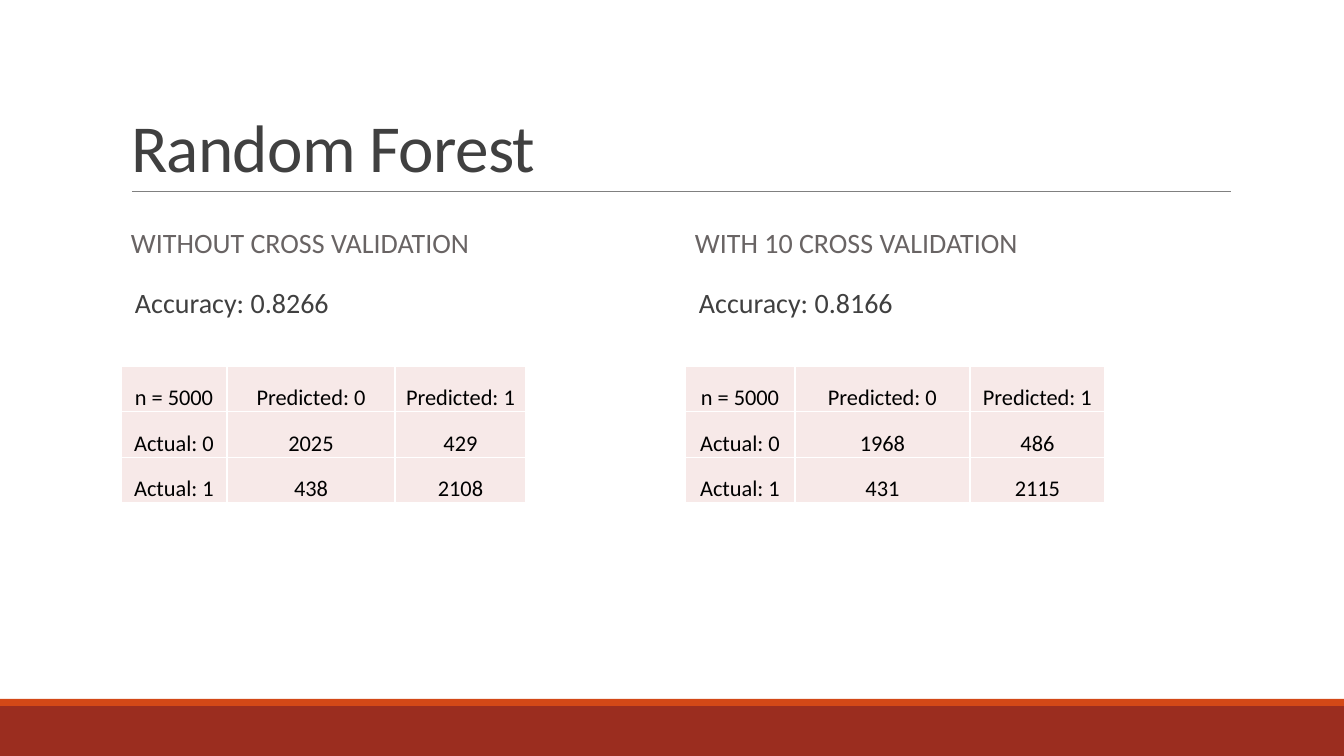
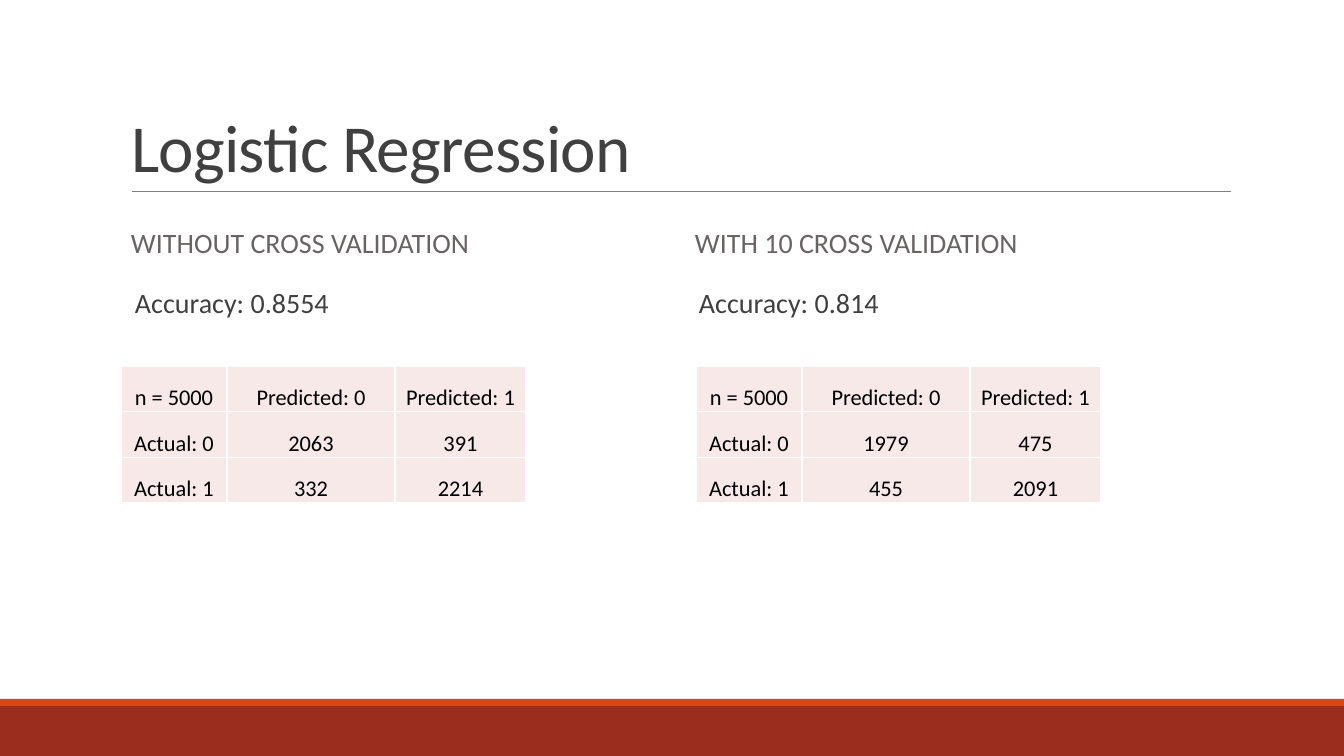
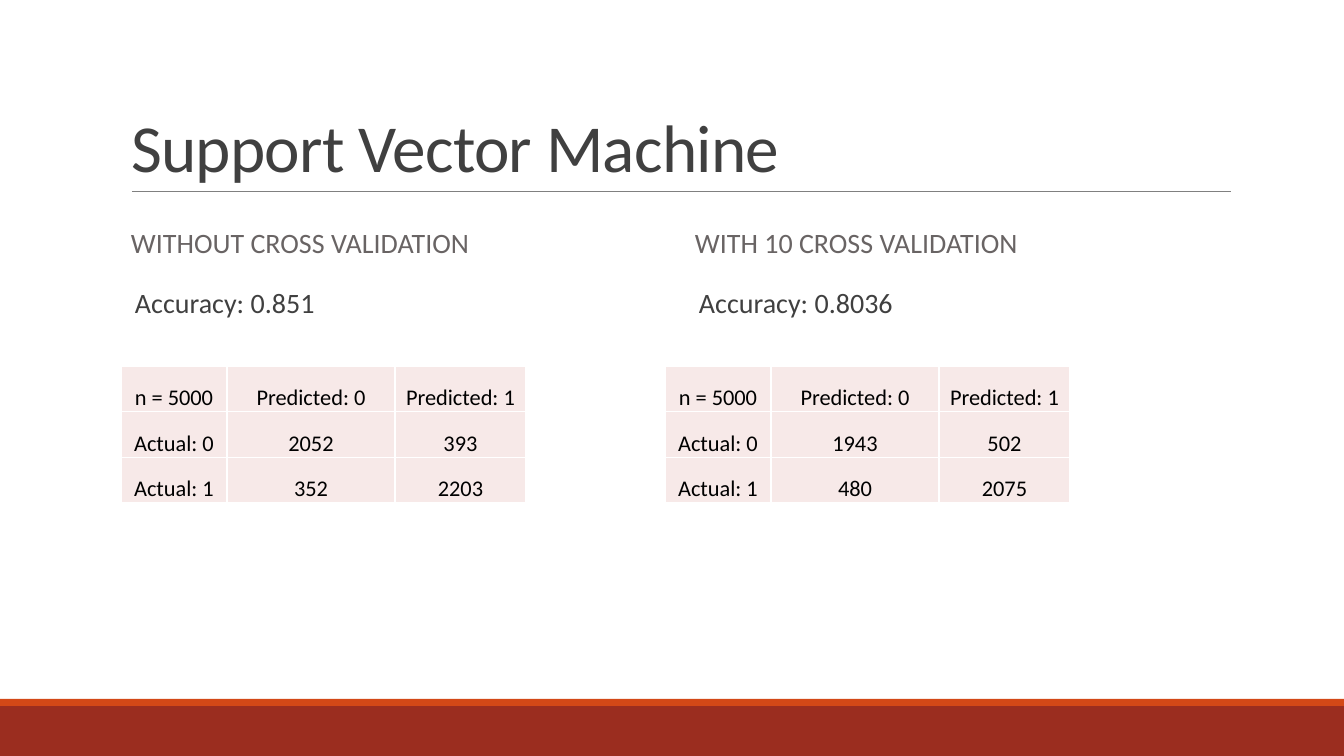
import lxml.etree
import pptx
import pptx.dml.color
import pptx.enum.shapes
import pptx.enum.text
import pptx.oxml
import pptx.oxml.ns
import pptx.util

# Content: each model has one result per column
HEADINGS = ("WITHOUT CROSS VALIDATION", "WITH 10 CROSS VALIDATION")
MODELS = [
    {"title": "Random Forest", "results": [
        {"accuracy": "0.8266", "counts": [(2025, 429), (438, 2108)]},
        {"accuracy": "0.8166", "counts": [(1968, 486), (431, 2115)],
         "columns": (110, 175, 135)}]},
    {"title": "Logistic Regression", "results": [
        {"accuracy": "0.8554", "counts": [(2063, 391), (332, 2214)]},
        {"accuracy": "0.814", "counts": [(1979, 475), (455, 2091)],
         "table_shift": 11}]},
    {"title": "Support Vector Machine", "results": [
        {"accuracy": "0.851", "counts": [(2052, 393), (352, 2203)]},
        {"accuracy": "0.8036", "counts": [(1943, 502), (480, 2075)],
         "table_shift": -20}]},
]

# Theme
THEME = {
    "font": "Calibri",
    "title": {"size": 48, "color": "404040"},
    "heading": {"size": 20, "color": "696464"},
    "body": {"size": 20, "color": "404040"},
    "cell": {"size": 16, "color": "000000"},
    "bullet": "D34817",
    "rule": "808080",
    "cell_fill": "F7E9E8",
    "cell_border": "FFFFFF",
}

# Layout, in px
EMU_PER_PX = 914400 / 100.8
SLIDE_SIZE = (1344, 756)
BANDS = [((0, 706, 1344, 50), "9B2D1F"), ((0, 699, 1344, 7), "D34817")]
TITLE_RULE = (132, 191, 1231, 191)
TITLE_BOX = (121, 31, 1109, 160)
COLUMN_LEFTS = (121, 685)
COLUMN_WIDTH = 544
HEADING_TOP, HEADING_HEIGHT = 204, 81
BODY_TOP, BODY_HEIGHT = 284, 372
TABLE_TOP, TABLE_HEIGHT = 366, 137
TABLE_COLUMNS = (106, 168, 131)
BULLET_INDENT = 10

ANCHOR = pptx.enum.text.MSO_ANCHOR
ALIGN = pptx.enum.text.PP_ALIGN


def px(value):
    return pptx.util.Emu(round(value * EMU_PER_PX))


def box(*lengths):
    return [px(length) for length in lengths]


def rgb(value):
    return pptx.dml.color.RGBColor.from_string(value)


def set_all(target, values):
    for name, value in values.items():
        setattr(target, name, value)


def add_xml(parent, tag, **attributes):
    return lxml.etree.SubElement(parent, pptx.oxml.ns.qn(tag), attributes)


def write(frame, text, style, frame_format, paragraph_format):
    """Put one styled paragraph in a text frame and return it."""
    set_all(frame, {"word_wrap": True, **frame_format})
    paragraph = frame.paragraphs[0]
    set_all(paragraph, paragraph_format)
    run = paragraph.add_run()
    run.text = text
    set_all(run.font, {"name": THEME["font"], "size": pptx.util.Pt(style["size"])})
    run.font.color.rgb = rgb(style["color"])
    return paragraph


def decorate_layout(layout, slide):
    """Draw the bands and title rule, then move them to the shared layout."""
    shapes = []
    for place, color in BANDS:
        band = slide.shapes.add_shape(
            pptx.enum.shapes.MSO_SHAPE.RECTANGLE, *box(*place))
        band.shadow.inherit = False
        band.fill.solid()
        band.fill.fore_color.rgb = rgb(color)
        band.line.fill.background()
        shapes.append(band)
    rule = slide.shapes.add_connector(
        pptx.enum.shapes.MSO_CONNECTOR.STRAIGHT, *box(*TITLE_RULE))
    rule.line.color.rgb = rgb(THEME["rule"])
    rule.line.width = pptx.util.Pt(0.5)
    add_xml(rule.element.spPr, "a:effectLst")
    shapes.append(rule)
    for shape in shapes:
        layout.shapes.element.append(shape.element)


def add_title(slide, text):
    title = slide.shapes.title
    set_all(title, dict(zip(("left", "top", "width", "height"), box(*TITLE_BOX))))
    paragraph = write(
        title.text_frame, text, THEME["title"],
        {"vertical_anchor": ANCHOR.BOTTOM,
         "auto_size": pptx.enum.text.MSO_AUTO_SIZE.NONE},
        {"alignment": ALIGN.LEFT, "line_spacing": 0.85})
    paragraph.runs[0].font._element.set("spc", "-50")


def add_text(slide, place, text, style, frame_format):
    text_box = slide.shapes.add_textbox(*box(*place))
    return write(text_box.text_frame, text, style, frame_format,
                 {"line_spacing": 0.9, "space_before": pptx.util.Pt(12),
                  "space_after": pptx.util.Pt(2)})


def add_bullet(paragraph):
    """Hanging indent with a blank bullet."""
    properties = paragraph._p.get_or_add_pPr()
    properties.set("marL", str(px(BULLET_INDENT)))
    properties.set("indent", str(-px(BULLET_INDENT)))
    color = add_xml(properties, "a:buClr")
    add_xml(color, "a:srgbClr", val=THEME["bullet"])
    add_xml(properties, "a:buChar", char=" ")


def format_cell(cell, text):
    set_all(cell, {"margin_left": px(1), "margin_right": px(1), "margin_top": px(1),
                   "margin_bottom": 0, "vertical_anchor": ANCHOR.BOTTOM})
    write(cell.text_frame, text, THEME["cell"], {}, {"alignment": ALIGN.CENTER})
    properties = cell._tc.get_or_add_tcPr()
    for side in ("a:lnL", "a:lnR", "a:lnT", "a:lnB"):
        border = add_xml(properties, side, w=str(pptx.util.Pt(1)))
        add_xml(add_xml(border, "a:solidFill"), "a:srgbClr", val=THEME["cell_border"])
    cell.fill.solid()
    cell.fill.fore_color.rgb = rgb(THEME["cell_fill"])


def add_confusion_table(slide, left, widths, counts):
    rows = [("n = 5000", "Predicted: 0", "Predicted: 1")]
    rows += [(f"Actual: {index}", *values) for index, values in enumerate(counts)]
    frame = slide.shapes.add_table(
        len(rows), len(widths), *box(left, TABLE_TOP, sum(widths), TABLE_HEIGHT))
    table = frame.table
    set_all(table, {"first_row": False, "horz_banding": False})
    for column, width in zip(table.columns, widths):
        column.width = px(width)
    for row_index, values in enumerate(rows):
        table.rows[row_index].height = px(TABLE_HEIGHT / len(rows))
        for column_index, value in enumerate(values):
            format_cell(table.cell(row_index, column_index), str(value))


def add_result(slide, left, heading, result):
    """One column: heading, accuracy and confusion table."""
    add_text(slide, (left, HEADING_TOP, COLUMN_WIDTH, HEADING_HEIGHT), heading,
             THEME["heading"], {"vertical_anchor": ANCHOR.MIDDLE})
    accuracy = add_text(slide, (left, BODY_TOP, COLUMN_WIDTH, BODY_HEIGHT),
                        f"Accuracy: {result['accuracy']}", THEME["body"],
                        {"margin_left": 0, "margin_right": 0})
    add_bullet(accuracy)
    add_confusion_table(slide, left + result.get("table_shift", 0),
                        result.get("columns", TABLE_COLUMNS), result["counts"])


def main():
    presentation = pptx.Presentation()
    presentation.slide_width, presentation.slide_height = box(*SLIDE_SIZE)
    layout = presentation.slide_layouts.get_by_name("Title Only")
    for number, model in enumerate(MODELS):
        slide = presentation.slides.add_slide(layout)
        if number == 0:
            decorate_layout(layout, slide)
        add_title(slide, model["title"])
        for left, heading, result in zip(COLUMN_LEFTS, HEADINGS, model["results"]):
            add_result(slide, left, heading, result)
    presentation.save("out.pptx")


if __name__ == "__main__":
    main()
